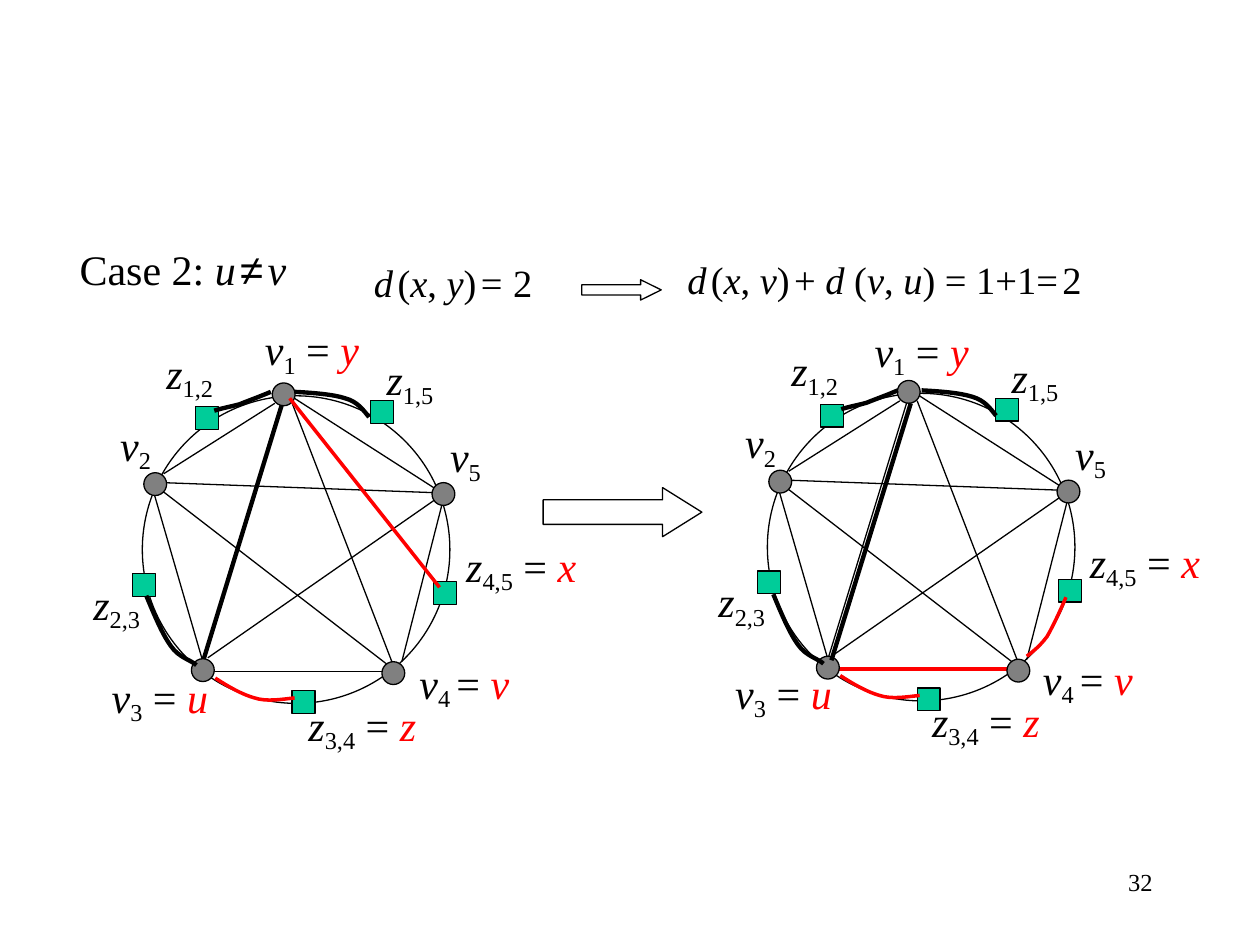
from lxml import etree
from pptx import Presentation
from pptx.dml.color import RGBColor
from pptx.enum.shapes import MSO_CONNECTOR, MSO_SHAPE
from pptx.enum.text import MSO_ANCHOR, MSO_AUTO_SIZE, PP_ALIGN
from pptx.oxml.ns import qn
from pptx.util import Cm, Pt

LEFT, CENTER, RIGHT = PP_ALIGN.LEFT, PP_ALIGN.CENTER, PP_ALIGN.RIGHT
OVAL, SQUARE, ARROW = MSO_SHAPE.OVAL, MSO_SHAPE.RECTANGLE, MSO_SHAPE.RIGHT_ARROW
STRAIGHT = MSO_CONNECTOR.STRAIGHT

BLACK, RED, GREEN, GRAY = "000000", "FF0000", "00CC99", "808080"
THIN, MEDIUM, THICK = 0.75, 2, 2.5
SERIF = "Times New Roman"

# All positions are in centimetres; the graphs are given at the left place.
SHIFT = (12.6, -0.05)
CIRCLE = (2.87, 7.98, 6.2, 6.2)
MARK_SIZE = 0.46
MARKS = [(7.47, 8.08), (8.74, 11.73), (2.67, 11.56), (5.89, 13.92), (3.94, 8.2)]
NODES = [(5.49, 7.72), (8.71, 9.73), (7.7, 13.34), (3.86, 13.28), (2.9, 9.53)]
EDGES = {
    "v1v2": ((5.54, 8.13), (3.3, 9.55)),
    "v2v3": ((3.1, 9.93), (4.09, 13.34)),
    "v3v4": ((4.29, 13.54), (7.7, 13.54)),
    "v4v5": ((8.1, 13.34), (8.92, 10.13)),
    "v1v5": ((5.89, 8), (8.79, 9.86)),
    "v1v3": ((5.69, 8.13), (4.09, 13.34)),
    "v1v4": ((5.89, 8.13), (7.9, 13.34)),
    "v2v5": ((3.3, 9.73), (8.71, 9.93)),
    "v2v4": ((3.25, 9.88), (7.8, 13.39)),
    "v3v5": ((8.76, 10.08), (4.19, 13.26)),
}
# letter, index, equals sign, value, (left, top, width), shift of the right label
LABEL_HEIGHT = 1.37
NAMED_SHIFT = (12.57, -0.08)
LABELS = [
    ("v", "1", " = ", "y", (4.93, 6.4, 2.72), (12.29, 0.03)),
    ("v", "2", "", "", (1.73, 8.33, 2.01), SHIFT),
    ("v", "5", "", "", (8.38, 8.56, 2.01), SHIFT),
    ("v", "3", " = ", "u", (1.93, 13.41, 2.59), NAMED_SHIFT),
    ("v", "4 ", "= ", "v", (8, 13.13, 2.72), NAMED_SHIFT),
    ("z", "1,5", "", "", (7.26, 7.01, 2.01), SHIFT),
    ("z", "1,2", "", "", (2.82, 6.88, 2.01), SHIFT),
    ("z", "4,5", " = ", "x", (9.09, 10.77, 2.84), NAMED_SHIFT),
    ("z", "3,4", " = ", "z", (5.69, 13.97, 3.23), NAMED_SHIFT),
    ("z", "2,3", "", "", (1.35, 11.53, 2.01), SHIFT),
]
# Bezier points: start, then two controls and an end for each segment
RED_ARC = [(4.34, 13.67), (4.6, 13.84), (4.88, 14), (5.13, 14.07),
           (5.38, 14.15), (5.66, 14.1), (5.94, 14.07)]
Z45_ARC = [(21.49, 12.04), (21.36, 12.34), (21.23, 12.62), (21.11, 12.83),
           (20.96, 13.03), (20.83, 13.13), (20.7, 13.23)]
BLACK_SHIFT = (12.64, -0.03)
BLACK_ARCS = [
    [(5.46, 7.9), (5.23, 8), (5, 8.08), (4.83, 8.15),
     (4.65, 8.2), (4.47, 8.23), (4.32, 8.28)],
    [(5.94, 7.9), (6.32, 7.92), (6.71, 7.95), (6.96, 8.03),
     (7.21, 8.1), (7.32, 8.26), (7.44, 8.41)],
    [(2.95, 12.01), (3.12, 12.42), (3.28, 12.8), (3.45, 13.03),
     (3.61, 13.26), (3.86, 13.31), (3.96, 13.41)],
]
XY_CHORD = ((5.84, 8.03), (8.86, 11.84))
UV_CHORD = ((18.36, 8.13), (16.76, 13.31))
ARROWS = [((10.95, 9.83, 3.2, 0.99), 0.8), ((11.73, 5.64, 1.6, 0.41), 1.01)]

ITALIC, SMALL = {"italic": True}, {"size": 10}
CASE = [("Case 2: ", {}), ("u", ITALIC), (" ", SMALL), ("≠", {"font": "Arial"}),
        (" ", SMALL), ("v", ITALIC)]
DISTANCE_XY = [("d", ITALIC), (" ", SMALL), ("(", {}), ("x", ITALIC), (", ", {}),
               ("y", ITALIC), (")", {}), (" ", SMALL), ("=", {}),
               (" ", {"size": 24}), ("2", {})]
DISTANCE_SUM = [("d", ITALIC), (" ", SMALL), ("(", {}), ("x", ITALIC), (", ", {}),
                ("v", ITALIC), (")", {}), (" ", SMALL), ("+ ", {}), ("d", ITALIC),
                (" (", {}), ("v", ITALIC), (", ", {}), ("u", ITALIC),
                (") = 1+1=", {}), (" ", SMALL), ("2", {})]

prs = Presentation()
prs.slide_width, prs.slide_height = Cm(25.4), Cm(19.05)
slide = prs.slides.add_slide(prs.slide_layouts[5])
shapes = slide.shapes


def rgb(color):
    return RGBColor.from_string(color)


def move(points, shift):
    return [(x + shift[0], y + shift[1]) for x, y in points]


def cm(lengths):
    return [Cm(length) for length in lengths]


def set_line(shape, color, width):
    shape.line.color.rgb = rgb(color)
    shape.line.width = Pt(width)


def add_text(runs, place, size=24, align=CENTER, box=None):
    """Write formatted runs into a new text box, or into the given placeholder."""
    box = box or shapes.add_textbox(*cm(place))
    box.left, box.top, box.width, box.height = cm(place)
    frame = box.text_frame
    frame.word_wrap = True
    frame.auto_size = MSO_AUTO_SIZE.NONE
    frame.vertical_anchor = MSO_ANCHOR.TOP
    paragraph = frame.paragraphs[0]
    paragraph.alignment = align
    for text, style in runs:
        run = paragraph.add_run()
        run.text = text
        font = run.font
        font.name = style.get("font", SERIF)
        font.size = Pt(style.get("size", size))
        font.italic = style.get("italic", False)
        font.color.rgb = rgb(style.get("color", BLACK))
        if "baseline" in style:
            font._element.set("baseline", str(style["baseline"]))


def add_outline(kind, place, fill=None):
    shape = shapes.add_shape(kind, *cm(place))
    shape.shadow.inherit = False
    if fill:
        shape.fill.solid()
        shape.fill.fore_color.rgb = rgb(fill)
    else:
        shape.fill.background()
    set_line(shape, BLACK, THIN)
    return shape


def add_line(ends, color=BLACK, width=THIN):
    (x1, y1), (x2, y2) = ends
    line = shapes.add_connector(STRAIGHT, *cm((x1, y1, x2, y2)))
    set_line(line, color, width)
    etree.SubElement(line._element.spPr, qn("a:effectLst"))


def add_curve(points, color, width):
    """Draw Bezier segments by joining each three line points into one curve."""
    start, *rest = [cm(point) for point in points]
    builder = shapes.build_freeform(*start)
    builder.add_line_segments(rest, close=False)
    curve = builder.convert_to_shape()
    steps = curve._element.findall(".//" + qn("a:lnTo"))
    outline = steps[0].getparent()
    for first in range(0, len(steps), 3):
        bezier = etree.SubElement(outline, qn("a:cubicBezTo"))
        for step in steps[first:first + 3]:
            bezier.append(step[0])
            outline.remove(step)
    curve.shadow.inherit = False
    curve.fill.background()
    set_line(curve, color, width)


def add_graph(shift, emphasis):
    for name, ends in EDGES.items():
        add_line(move(ends, shift), *emphasis.get(name, (BLACK, THIN)))
    x, y, width, height = CIRCLE
    add_outline(OVAL, (x + shift[0], y + shift[1], width, height))
    for kind, places, fill in ((SQUARE, MARKS, GREEN), (OVAL, NODES, GRAY)):
        for x, y in move(places, shift):
            add_outline(kind, (x, y, MARK_SIZE, MARK_SIZE), fill)
    add_curve(move(RED_ARC, shift), RED, MEDIUM)


def add_labels(on_right):
    for letter, index, equals, value, (x, y, width), shift in LABELS:
        runs = [(letter, ITALIC), (index, {"baseline": -20000})]
        if value:
            runs += [(equals, {}), (value, {"italic": True, "color": RED})]
        dx, dy = shift if on_right else (0, 0)
        add_text(runs, (x + dx, y + dy, width, LABEL_HEIGHT))


add_text(CASE, (1.35, 4.78, 5.99, 1.27), align=LEFT, box=shapes.title)
add_graph((0, 0), {"v1v3": (BLACK, THICK)})
add_labels(on_right=False)
add_graph(SHIFT, {"v3v4": (RED, MEDIUM)})
add_labels(on_right=True)
add_line(XY_CHORD, RED, MEDIUM)
add_curve(Z45_ARC, RED, MEDIUM)
add_text(DISTANCE_XY, (7.14, 5.03, 3.99, 1.27), size=22)
add_text(DISTANCE_SUM, (12.93, 5.03, 9.8, 1.19), size=22)
for place, head in ARROWS:
    add_outline(ARROW, place).adjustments[1] = head
for arc in BLACK_ARCS:
    for shift in ((0, 0), BLACK_SHIFT):
        add_curve(move(arc, shift), BLACK, THICK)
add_line(UV_CHORD, BLACK, THICK)
add_text([("32", {})], (18.21, 17.35, 5.28, 1.27), size=14, align=RIGHT)

prs.save("out.pptx")
